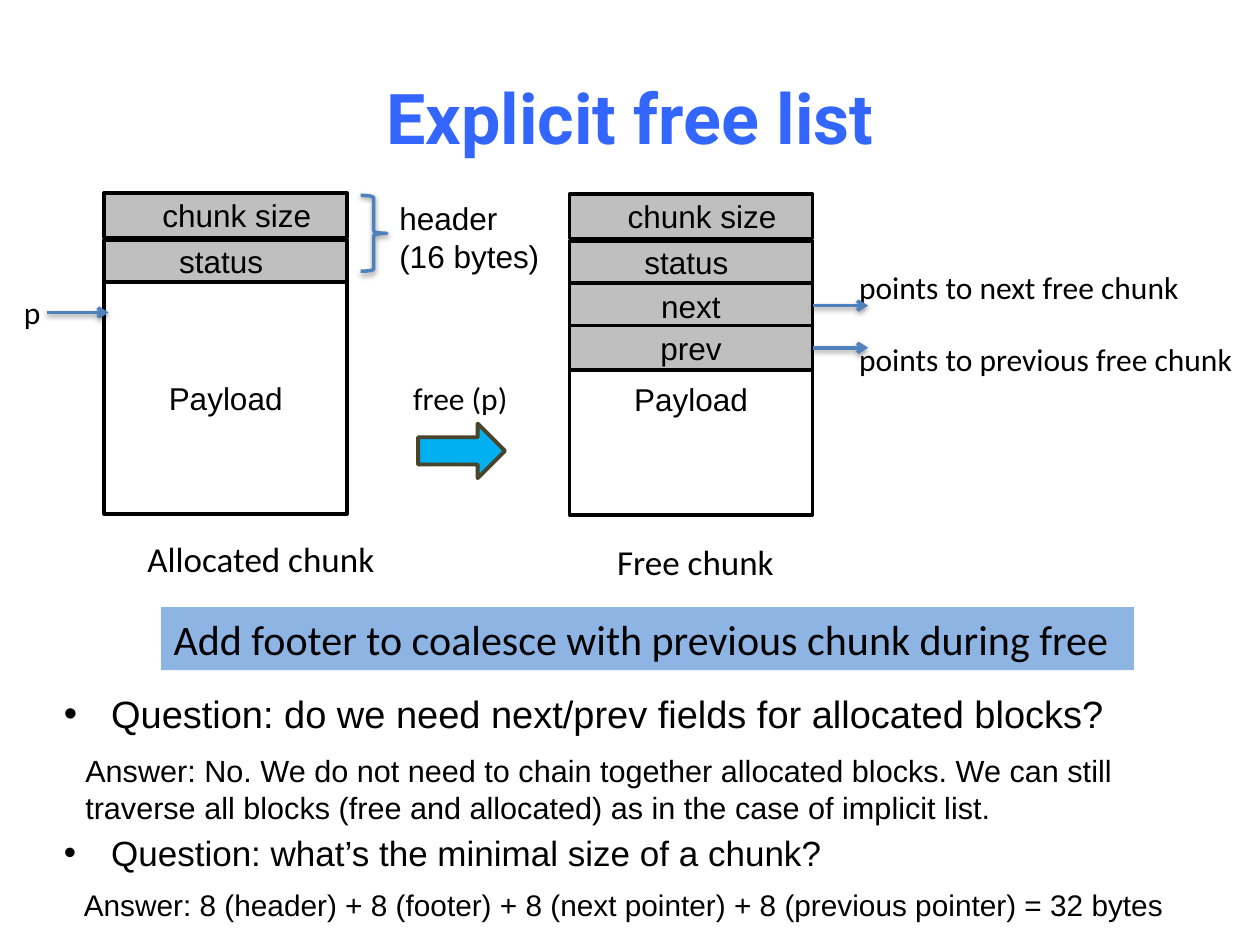
import dataclasses

import lxml.etree
import pptx
import pptx.dml.color
import pptx.enum.shapes
import pptx.enum.text
import pptx.oxml.ns
import pptx.util

Cm, Pt = pptx.util.Cm, pptx.util.Pt
SHAPE = pptx.enum.shapes.MSO_SHAPE
ALIGN = pptx.enum.text.PP_ALIGN
ANCHOR = pptx.enum.text.MSO_ANCHOR
qn = pptx.oxml.ns.qn


@dataclasses.dataclass(frozen=True)
class Theme:
    title: str = "3366FF"
    ink: str = "000000"
    field: str = "BFBFBF"
    link: str = "4F81BD"
    arrow: str = "00B0F0"
    edge: str = "4A452A"
    banner: str = "8EB4E3"
    head: str = "Roboto"
    sans: str = "Arial"
    body: str = "Calibri"
    huge: float = 40
    large: float = 24
    mid: float = 20
    small: float = 18
    ask: float = 21.7
    reply: float = 17.5
    last: float = 17


THEME = Theme()


def color(code):
    return pptx.dml.color.RGBColor.from_string(code)


def add(parent, tag, **attrs):
    return lxml.etree.SubElement(parent, qn(tag), attrs)


def write(shape, text, size, face, tint=THEME.ink, align=ALIGN.LEFT,
          anchor=ANCHOR.TOP, wrap=False, bold=False, bullet=False):
    frame = shape.text_frame
    frame.word_wrap = wrap
    frame.vertical_anchor = anchor
    frame.text = text
    for para in frame.paragraphs:
        if bullet:
            props = para._p.get_or_add_pPr()
            props.set("marL", str(Cm(0.95)))
            props.set("indent", str(Cm(-0.95)))
            add(props, "a:buFont", typeface=THEME.sans)
            add(props, "a:buChar", char="•")
        para.alignment = align
        para.font.size = Pt(size)
        para.font.name = face
        para.font.bold = bold
        para.font.color.rgb = color(tint)


def label(slide, x, y, w, h, text, size, face, **style):
    box = slide.shapes.add_textbox(Cm(x), Cm(y), Cm(w), Cm(h))
    write(box, text, size, face, **style)


def block(slide, kind, x, y, w, h, fill=None, edge=None, width=2):
    shape = slide.shapes.add_shape(kind, Cm(x), Cm(y), Cm(w), Cm(h))
    shape.shadow.inherit = False
    if fill:
        shape.fill.solid()
        shape.fill.fore_color.rgb = color(fill)
    else:
        shape.fill.background()
    if edge:
        shape.line.color.rgb = color(edge)
        shape.line.width = Pt(width)
    else:
        shape.line.fill.background()
    return shape


def shade(effects):
    drop = add(effects, "a:outerShdw", blurRad=str(Pt(3.1)), dist=str(Pt(1.6)),
               dir="5400000", rotWithShape="0")
    tint = add(drop, "a:srgbClr", val=THEME.ink)
    add(tint, "a:alpha", val="38000")


def pointer(slide, x, y, length, start=None):
    line = slide.shapes.add_connector(
        pptx.enum.shapes.MSO_CONNECTOR.STRAIGHT, Cm(x), Cm(y), Cm(x + length), Cm(y))
    if start is not None:
        line.begin_connect(start, 3)
        line.end_y = line.begin_y
    line.line.color.rgb = color(THEME.link)
    line.line.width = Pt(2)
    add(line.line._get_or_add_ln(), "a:tailEnd", type="arrow")
    shade(add(line._element.spPr, "a:effectLst"))


def chunk(slide, x, y, w, fields):
    """Draw the payload and its header fields; return the fields by name."""
    pay = block(slide, SHAPE.RECTANGLE, x, y + 1.8, w, 4.67, edge=THEME.ink)
    write(pay, "Payload", THEME.small, THEME.sans, align=ALIGN.CENTER,
          anchor=ANCHOR.MIDDLE, wrap=True)
    cells = {}
    for name, top, high, shift in fields:
        cell = block(slide, SHAPE.RECTANGLE, x, y + top, w, high,
                     THEME.field, THEME.ink)
        write(cell, name, THEME.small, THEME.sans, align=ALIGN.CENTER,
              anchor=ANCHOR.MIDDLE, wrap=True)
        cell.text_frame.margin_right = Cm(0.25 + max(-shift, 0))
        cell.text_frame.margin_left = Cm(0.25 + max(shift, 0))
        cells[name] = cell
    return cells


# Field name, offset from the chunk's top, height, sideways shift of the text
HEADER = [("chunk size", 0, 0.9, 0.45), ("status", 0.95, 0.85, -0.18)]
LINKS = [("next", 1.8, 0.9, 0), ("prev", 2.65, 0.9, 0)]


def allocated(slide, x, y, w):
    chunk(slide, x, y, w, HEADER)
    # Pointer to the payload
    label(slide, x - 1.87, y + 1.9, 0.84, 1.02, "p", THEME.small, THEME.body)
    pointer(slide, x - 1.15, y + 2.41, 1.24)
    # Header brace
    brace = block(slide, SHAPE.RIGHT_BRACE, x + 5.17, y + 0.05, 0.53, 1.53,
                  edge=THEME.link)
    shade(brace._element.spPr.find(qn("a:effectLst")))
    label(slide, x + 5.7, y, 3.35, 1.8, "header\n(16 bytes)", THEME.small, THEME.sans)
    label(slide, x + 0.62, y + 6.83, 6, 1.12, "Allocated chunk", THEME.mid, THEME.body)


def step(slide, x, y):
    label(slide, x, y, 2.44, 1.02, "free (p)", THEME.small, THEME.body)
    block(slide, SHAPE.RIGHT_ARROW, x + 0.35, y + 1.02, 1.75, 1.1,
          THEME.arrow, THEME.edge, 2.25)


def free(slide, x, y, w):
    cells = chunk(slide, x, y, w, HEADER + LINKS)
    notes = [("next", "points to next free chunk", 1.37, 7.06),
             ("prev", "points to previous free chunk", 2.82, 8.15)]
    for name, text, top, wide in notes:
        label(slide, x + 5.59, y + top, wide, 1.02, text, THEME.small, THEME.body)
        pointer(slide, x + w, y, 1.12, cells[name])
    label(slide, x + 0.71, y + 6.86, 3.71, 1.12, "Free chunk", THEME.mid, THEME.body)


def banner(slide, x, y, w, h):
    bar = block(slide, SHAPE.RECTANGLE, x, y, w, h, THEME.banner)
    write(bar, "Add footer to coalesce with previous chunk during free",
          THEME.large, THEME.body, wrap=True)


def answers(slide, x, y, w):
    rows = [
        (0, 0, THEME.ask, True,
         "Question: do we need next/prev fields for allocated blocks?"),
        (0.43, 1.25, THEME.reply, False,
         "Answer: No. We do not need to chain together allocated blocks. "
         "We can still traverse all blocks (free and allocated) as in the case "
         "of implicit list."),
        (0, 2.85, THEME.mid, True, "Question: what’s the minimal size of a chunk?"),
        (0.4, 3.96, THEME.last, False,
         "Answer: 8 (header) + 8 (footer) + 8 (next pointer) + "
         "8 (previous pointer) = 32 bytes"),
    ]
    for left, top, size, bullet, text in rows:
        label(slide, x + left, y + top, w, 1.1, text, size, THEME.sans,
              wrap=True, bullet=bullet)


def main():
    deck = pptx.Presentation()
    deck.slide_width, deck.slide_height = Cm(25.4), Cm(19.05)
    slide = deck.slides.add_slide(deck.slide_layouts[6])
    # Title
    label(slide, 1.27, 0.76, 22.86, 3.18, "Explicit free list", THEME.huge,
          THEME.head, tint=THEME.title, align=ALIGN.CENTER,
          anchor=ANCHOR.MIDDLE, wrap=True, bold=True)
    # Chunks before and after the call
    allocated(slide, 2.1, 3.89, 4.9)
    step(slide, 8.08, 7.52)
    free(slide, 11.48, 3.91, 4.9)
    # Conclusions
    banner(slide, 3.25, 12.24, 19.61, 1.27)
    answers(slide, 1.04, 13.79, 23)
    deck.save("out.pptx")


if __name__ == "__main__":
    main()
